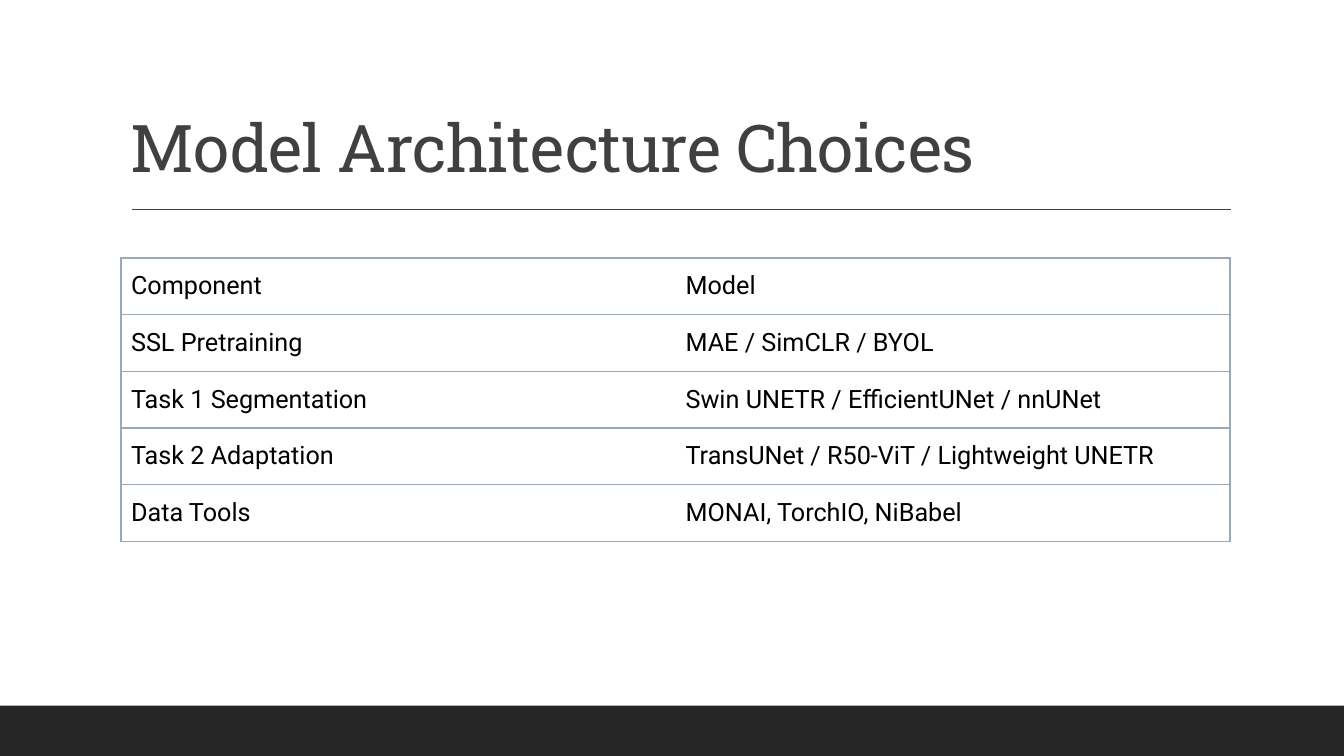
from lxml.etree import SubElement
from pptx import Presentation
from pptx.dml.color import RGBColor
from pptx.enum.shapes import MSO_CONNECTOR, MSO_SHAPE
from pptx.enum.text import MSO_ANCHOR
from pptx.oxml.ns import qn
from pptx.util import Inches, Pt

COLORS = {"bar": "262626", "title": "404040", "text": "000000",
          "cell": "FFFFFF", "border": "9BA8B7"}
ROWS = [
    ("Component", "Model"),
    ("SSL Pretraining", "MAE / SimCLR / BYOL"),
    ("Task 1 Segmentation", "Swin UNETR / EfficientUNet / nnUNet"),
    ("Task 2 Adaptation", "TransUNet / R50-ViT / Lightweight UNETR"),
    ("Data Tools", "MONAI, TorchIO, NiBabel"),
]


def rgb(name):
    return RGBColor.from_string(COLORS[name])


class SlideBuilder:
    """Draws styled elements on one slide."""

    title_font = "Roboto Slab"
    body_font = "Roboto"

    def __init__(self, slide):
        self.slide = slide

    def style(self, p, font, size, color):
        p.font.name = font
        p.font.size = Pt(size)
        p.font.color.rgb = rgb(color)

    def bar(self, x, y, w, h):
        sp = self.slide.shapes.add_shape(
            MSO_SHAPE.RECTANGLE, Inches(x), Inches(y), Inches(w), Inches(h))
        sp.shadow.inherit = False
        sp.fill.solid()
        sp.fill.fore_color.rgb = rgb("bar")
        sp.line.fill.background()

    def rule(self, x1, x2, y):
        line = self.slide.shapes.add_connector(
            MSO_CONNECTOR.STRAIGHT, Inches(x1), Inches(y), Inches(x2), Inches(y))
        line.line.color.rgb = rgb("title")
        line.line.width = Pt(1)
        SubElement(line._element.spPr, qn("a:effectLst"))

    def title(self, text, x, y, w, h):
        sp = self.slide.shapes.add_textbox(Inches(x), Inches(y), Inches(w), Inches(h))
        tf = sp.text_frame
        tf.word_wrap = True
        tf.vertical_anchor = MSO_ANCHOR.BOTTOM
        p = tf.paragraphs[0]
        p.line_spacing = 0.9
        self.style(p, self.title_font, 47, "title")
        r = p.add_run()
        r.text = text
        r._r.get_or_add_rPr().set("spc", "-50")

    def borders(self, cell, visible):
        tcPr = cell._tc.get_or_add_tcPr()
        for side in "LRTB":
            ln = SubElement(tcPr, qn(f"a:ln{side}"), w=str(Pt(1)))
            if side in visible:
                fill = SubElement(ln, qn("a:solidFill"))
                SubElement(fill, qn("a:srgbClr"), val=COLORS["border"])
            else:
                SubElement(ln, qn("a:noFill"))

    def table(self, rows, x, y, w, h):
        table = self.slide.shapes.add_table(
            len(rows), len(rows[0]), Inches(x), Inches(y), Inches(w), Inches(h)).table
        table.first_row = False
        table.horz_banding = False
        for i, row in enumerate(rows):
            for j, text in enumerate(row):
                cell = table.cell(i, j)
                cell.text = text
                cell.vertical_anchor = MSO_ANCHOR.MIDDLE
                self.style(cell.text_frame.paragraphs[0], self.body_font, 18, "text")
                self.borders(cell, "LTB" if j == 0 else "RTB")
                cell.fill.solid()
                cell.fill.fore_color.rgb = rgb("cell")


def main():
    prs = Presentation()
    prs.slide_width = Inches(13.33)
    prs.slide_height = Inches(7.5)
    s = SlideBuilder(prs.slides.add_slide(prs.slide_layouts[6]))
    s.bar(0, 7, 13.33, 0.5)
    s.rule(1.31, 12.21, 2.08)
    s.title("Model Architecture Choices", 1.2, 0.31, 11, 1.59)
    s.table(ROWS, 1.2, 2.56, 11, 2.81)
    prs.save("out.pptx")


if __name__ == "__main__":
    main()
